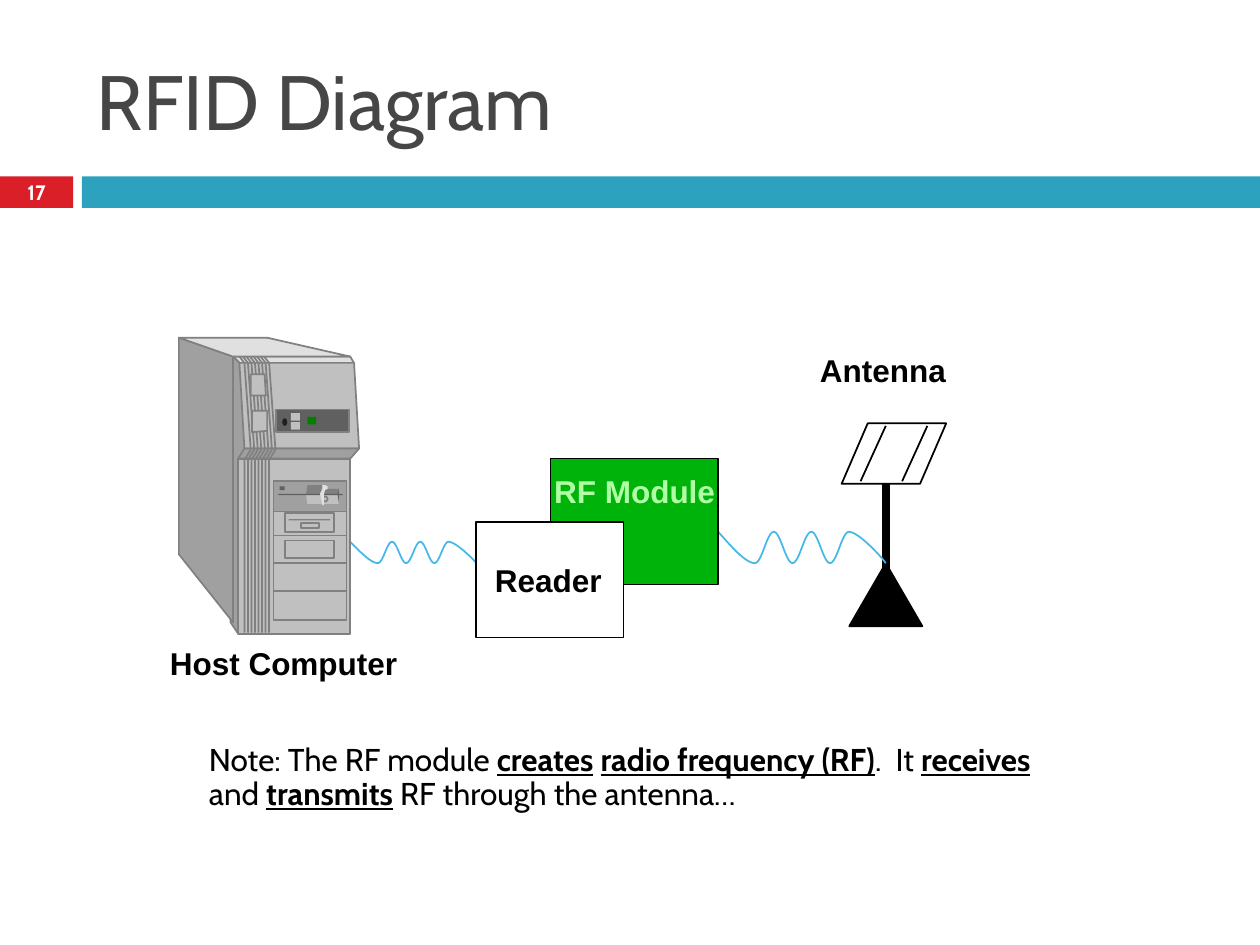
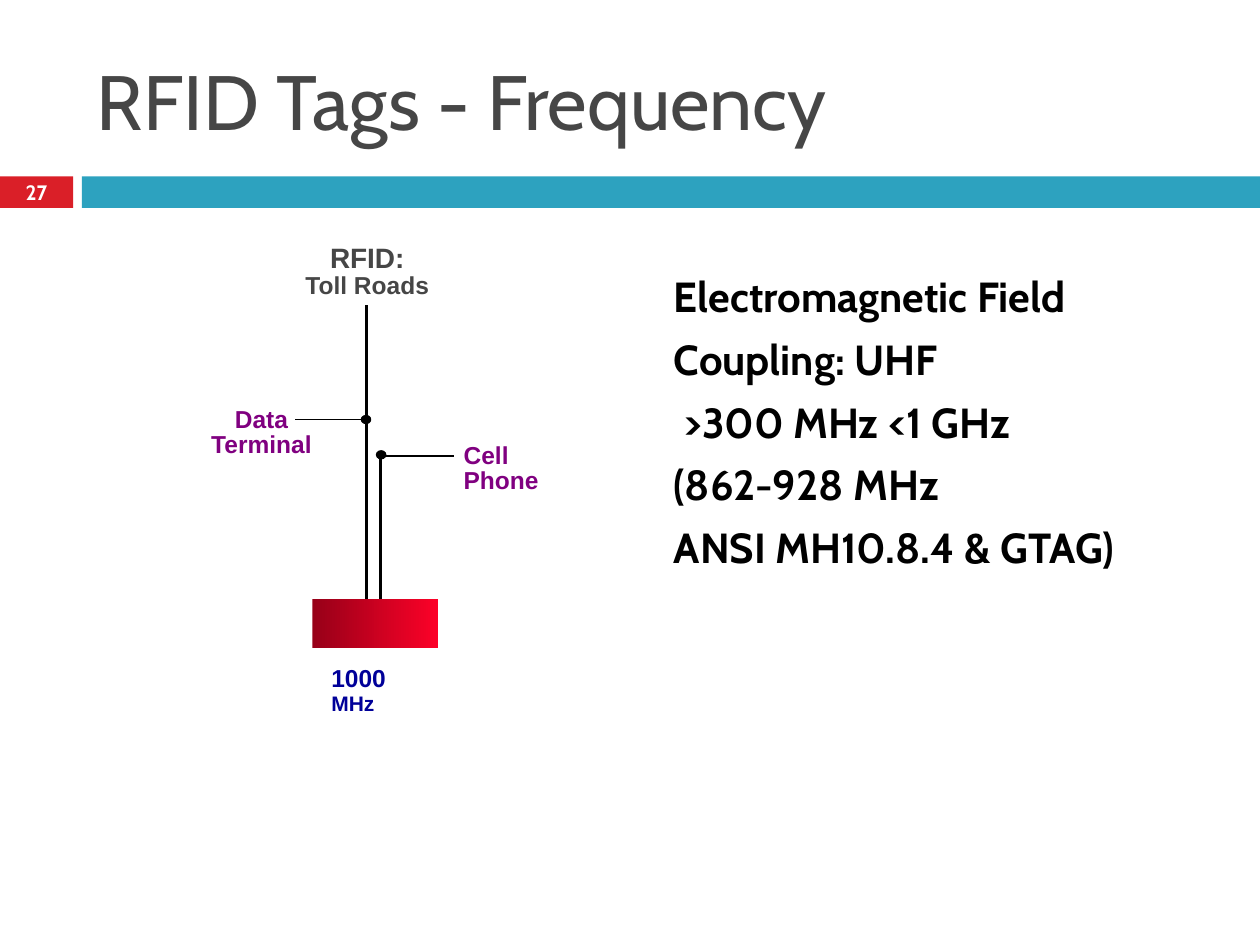
import pptx
import pptx.util
import pptx.dml.color
import pptx.enum.shapes
import pptx.enum.text
import lxml.etree

Cm, Pt = pptx.util.Cm, pptx.util.Pt
Kind = pptx.enum.shapes.MSO_SHAPE
Align = pptx.enum.text.PP_ALIGN
Anchor = pptx.enum.text.MSO_ANCHOR


class Theme:
    head, body = "Cabin", "Arial"
    ink, grey, white = "000000", "464646", "FFFFFF"
    red, teal, wave = "DA1F28", "2DA2BF", "44B9E8"
    green, lime = "00B30B", "B0FFA5"
    plum, navy = "800080", "000099"
    glow = ("970018", "FC0128")
    edge, face, side, top, dark = "808080", "C0C0C0", "A0A0A0", "E0E0E0", "606060"
    title, point, label, small, tiny, page = 44, 24, 18, 14, 12, 11.9


# ---------- content; places are in grid units of 2.54 cm ----------
UNIT = 2.54
TITLES = {17: "RFID Diagram", 27: "RFID Tags - Frequency"}

STRONG = dict(bold=True, under=True)
NOTE = [[("Note: The RF module ", {}), ("creates", STRONG), (" ", {}),
         ("radio frequency (RF)", STRONG), (".  It ", {}), ("receives", STRONG),
         (" and ", {}), ("transmits", STRONG), (" RF through the antenna…", {})]]

# label, place, colour, wrap
PARTS = [
    (" Reader", (3.76, 4.4, 1.18, 0.4), Theme.ink, True),
    ("RF Module", (4.3, 3.7, 1.48, 0.4), Theme.lime, False),
    ("Antenna", (6.41, 2.74, 1.2, 0.4), Theme.ink, False),
    ("Host Computer", (1.25, 5.06, 2.01, 0.4), Theme.ink, False),
]
WAVES = [(2.78, 4.3, 1, 0.17), (5.7, 4.22, 1.33, 0.25)]

POINTS = ["Electromagnetic Field", "Coupling: UHF", " >300 MHz <1 GHz",
          "(862-928 MHz", "ANSI MH10.8.4 & GTAG)"]

# lines, place, format
TAGS = [
    (["1000", [("MHz", dict(size=Theme.tiny))]], (2.56, 5.26, 0.97, 0.45),
     dict(color=Theme.navy, space=0.9)),
    (["Cell", "Phone"], (3.61, 3.5, 1.14, 0.45), dict(color=Theme.plum)),
    ([[("RFID:", dict(size=16))], "Toll Roads"], (2.35, 1.92, 1.13, 0.48),
     dict(color=Theme.grey, align=Align.CENTER, wrap=False)),
    (["Data", "Terminal"], (1.6, 3.21, 0.95, 0.45),
     dict(color=Theme.plum, align=Align.CENTER, wrap=False)),
]
# start, end, width
WIRES = [
    ((2.91, 4.81), (2.91, 2.42), 2), ((3.02, 4.78), (3.02, 3.62), 2),
    ((3.02, 3.62), (3.6, 3.62), 1), ((2.9, 3.33), (2.34, 3.33), 1),
]
DOTS = [(2.99, 3.58), (2.87, 3.3)]

# Case of the host: fill and corners
PANELS = [
    (Theme.top, [(1.85, 2.83), (1.9, 2.88), (2.81, 2.88), (2.78, 2.83)]),
    (Theme.side, [(1.83, 4.94), (1.89, 5.03), (2.08, 3.56), (1.9, 2.88),
                  (1.85, 2.83), (1.83, 3.62)]),
    (Theme.side, [(1.42, 2.68), (1.85, 2.83), (1.85, 4.94), (1.42, 4.4)]),
    (Theme.top, [(1.85, 2.83), (2.78, 2.83), (2.12, 2.68), (1.42, 2.68)]),
    (Theme.face, [(1.89, 3.64), (2.78, 3.64), (2.78, 5.03), (1.89, 5.03)]),
    (Theme.face, [(1.9, 2.88), (2.81, 2.88), (2.85, 3.56), (1.94, 3.56)]),
    (Theme.side, [(1.89, 3.64), (2.78, 3.64), (2.85, 3.56), (1.94, 3.56)]),
]
GROOVE = [(1.9, 2.83), (1.94, 2.88), (1.99, 3.57), (1.94, 3.65), (1.94, 5.02)]
KEYS = [
    [(2.1, 2.97), (1.99, 2.97), (1.99, 3.14), (2.11, 3.14)],
    [(2.12, 3.26), (2, 3.26), (2, 3.43), (2.12, 3.42)],
]
# Front of the host: place, fill, line
BOXES = [
    ((2.17, 3.82, 0.58, 1.1), Theme.face, Theme.edge),
    ((2.17, 4.04, 0.58, 0.22), Theme.face, Theme.edge),
    ((2.17, 4.25, 0.58, 0.24), Theme.face, Theme.edge),
    ((2.17, 4.47, 0.58, 0.22), Theme.face, Theme.edge),
    ((2.26, 4.07, 0.39, 0.15), Theme.face, Theme.edge),
    ((2.26, 4.29, 0.39, 0.14), Theme.face, Theme.edge),
    ((2.17, 3.82, 0.58, 0.24), Theme.side, Theme.edge),
    ((2.22, 3.86, 0.04, 0.03), Theme.dark, None),
    ((2.29, 4.12, 0.33, 0.01), Theme.edge, None),
    ((2.39, 4.15, 0.14, 0.04), None, Theme.edge),
    ((2.19, 3.25, 0.58, 0.18), Theme.dark, Theme.edge),
    ((2.31, 3.28, 0.07, 0.06), Theme.face, None),
    ((2.31, 3.35, 0.07, 0.06), Theme.face, None),
    ((2.44, 3.31, 0.07, 0.06), "008000", None),
]
# Disk in the slot: fill and corners
DISK = [
    (Theme.edge, [(2.56, 3.85), (2.44, 3.85), (2.43, 3.92), (2.54, 3.92)]),
    (Theme.face, [(2.69, 4), (2.44, 4), (2.43, 3.93), (2.68, 3.93)]),
    (Theme.edge, [(2.69, 3.88), (2.56, 3.88), (2.54, 3.92), (2.68, 3.92)]),
    (Theme.dark, [(2.69, 3.88), (2.69, 3.99), (2.68, 3.92)]),
]
LATCH = [(2.58, 3.85), (2.56, 3.85), (2.56, 3.88), (2.54, 3.92), (2.56, 4.01),
         (2.57, 4.01), (2.57, 3.93), (2.58, 3.89), (2.6, 3.88), (2.6, 3.86)]


# ---------- tools ----------
def size(*nums):
    return [Cm(num * UNIT) for num in nums]


def rgb(code):
    return pptx.dml.color.RGBColor.from_string(code)


def paint(item, fill=None, line=None, width=1):
    item.shadow.inherit = False
    if fill:
        item.fill.solid()
        item.fill.fore_color.rgb = rgb(fill)
    else:
        item.fill.background()
    if line:
        item.line.color.rgb = rgb(line)
        item.line.width = Pt(width)
    else:
        item.line.fill.background()
    return item


def shape(slide, at, fill=None, line=None, kind=Kind.RECTANGLE):
    return paint(slide.shapes.add_shape(kind, *size(*at)), fill, line)


def trace(slide, spots, fill=None, line=None, close=True):
    first, *rest = [size(*spot) for spot in spots]
    pen = slide.shapes.build_freeform(*first)
    pen.add_line_segments(rest, close=close)
    return paint(pen.convert_to_shape(), fill, line)


def wire(slide, start, end, width=1):
    line = slide.shapes.add_connector(
        pptx.enum.shapes.MSO_CONNECTOR.STRAIGHT, *size(*start, *end))
    line.line.color.rgb = rgb(Theme.ink)
    line.line.width = Pt(width)
    lxml.etree.SubElement(line._element.spPr, pptx.oxml.ns.qn("a:effectLst"))


def text(slide, lines, at, *, font=Theme.body, size_pt=Theme.label, color=Theme.ink,
         bold=False, align=Align.LEFT, anchor=Anchor.TOP, wrap=True,
         inset=(0.1, 0.05), space=None, before=0):
    """Add text; a line is a string or a list of (words, format) runs."""
    frame = slide.shapes.add_textbox(*size(*at)).text_frame
    frame.word_wrap = wrap
    frame.vertical_anchor = anchor
    frame.margin_left, frame.margin_top = size(*inset)
    frame.margin_right, frame.margin_bottom = size(*inset)
    for num, line in enumerate(lines):
        para = frame.add_paragraph() if num else frame.paragraphs[0]
        para.alignment = align
        para.space_before = Pt(before)
        if space:
            para.line_spacing = space
        for words, form in [(line, {})] if isinstance(line, str) else line:
            run = para.add_run()
            run.text = words
            run.font.name = font
            run.font.size = Pt(form.get("size", size_pt))
            run.font.bold = form.get("bold", bold)
            run.font.underline = form.get("under", False)
            run.font.color.rgb = rgb(color)


def wave(slide, left, top, width, height):
    """Seven eased spans between crest and trough; the outer two are longer."""
    spans = [0.22] + [0.112] * 5 + [0.22]
    grips = [(0.36, 0, 0.64, 1)] * 7
    grips[0], grips[-1] = (0.38, 0.5, 0.75, 1), (0.27, 0, 0.95, 0.88)
    spots, x = [(left, top)], left
    for num, (span, (ax, ay, bx, by)) in enumerate(zip(spans, grips)):
        for step in range(1, 13):
            t = step / 12
            a, b, c = 3 * t * (1 - t) ** 2, 3 * t * t * (1 - t), t ** 3
            drop = a * ay + b * by + c
            spots.append((x + (a * ax + b * bx + c) * span * width,
                          top + height * (1 - drop if num % 2 else drop)))
        x += span * width
    trace(slide, spots, line=Theme.wave, close=False)


# ---------- slides ----------
def begin(deck, page):
    """Add a slide with bands, title and page number."""
    slide = deck.slides.add_slide(deck.slide_layouts[6])
    shape(slide, (0, 1.4, 0.58, 0.25), Theme.red)
    shape(slide, (0.65, 1.4, 9.35, 0.25), Theme.teal)
    text(slide, [TITLES[page]], (0.67, 0.25, 8.92, 1.08), font=Theme.head,
         size_pt=Theme.title, color=Theme.grey, anchor=Anchor.MIDDLE)
    text(slide, [str(page)], (0, 1.39, 0.58, 0.27), font=Theme.head, bold=True,
         size_pt=Theme.page, color=Theme.white, align=Align.CENTER,
         anchor=Anchor.MIDDLE)
    return slide


def host(slide):
    for fill, spots in PANELS:
        trace(slide, spots, fill, Theme.edge)
    for num in range(8):
        trace(slide, [(x + num * 0.028, y) for x, y in GROOVE],
              line=Theme.edge, close=False)
    for spots in KEYS:
        trace(slide, spots, Theme.face, Theme.edge)
    for at, fill, line in BOXES:
        shape(slide, at, fill, line)
    shape(slide, (2.24, 3.32, 0.04, 0.06), "202020", kind=Kind.OVAL)
    for fill, spots in DISK:
        trace(slide, spots, fill)
    shape(slide, (2.56, 3.94, 0.04, 0.04), Theme.face, Theme.edge, Kind.OVAL)
    shape(slide, (2.21, 3.92, 0.51, 0.01), Theme.dark)
    trace(slide, LATCH, Theme.top)


def diagram(deck):
    slide = begin(deck, 17)
    # Mast, waves, module and reader
    wire(slide, (7.03, 3.69), (7.03, 4.69), 4.5)
    shape(slide, (6.74, 4.47, 0.58, 0.5), Theme.ink, Theme.ink,
          Kind.ISOSCELES_TRIANGLE)
    for place in WAVES:
        wave(slide, *place)
    shape(slide, (4.37, 3.64, 1.33, 1), Theme.green, Theme.ink)
    shape(slide, (3.78, 4.14, 1.17, 0.92), Theme.white, Theme.ink)
    # Dish
    dish = shape(slide, (6.68, 3.36, 0.83, 0.48), Theme.white, Theme.ink,
                 Kind.PARALLELOGRAM)
    dish.adjustments[0] = 0.432
    for x in (7.36, 7.03):
        wire(slide, (x, 3.38), (x - 0.2, 3.82))
    host(slide)
    for words, at, color, wrap in PARTS:
        text(slide, [words], at, color=color, bold=True, wrap=wrap)
    text(slide, NOTE, (1.56, 5.86, 6.72, 0.65), font=Theme.head, space=0.9)


def bands(deck):
    slide = begin(deck, 27)
    text(slide, POINTS, (5.25, 2.1, 4.46, 3.38), font=Theme.head,
         size_pt=Theme.point, bold=True, before=7)
    for start, end, width in WIRES:
        wire(slide, start, end, width)
    for spot in DOTS:
        shape(slide, (*spot, 0.07, 0.06), Theme.ink, Theme.ink, Kind.OVAL)
    for lines, at, form in TAGS:
        text(slide, lines, at, **{"size_pt": Theme.small, "bold": True,
                                  "inset": (0.07, 0.03), "space": 0.85, **form})
    # Block for the frequency band
    block = shape(slide, (2.48, 4.75, 1, 0.39), Theme.red)
    block.fill.gradient()
    block.fill.gradient_angle = 0
    for stop, color in zip(block.fill.gradient_stops, Theme.glow):
        stop.color.rgb = rgb(color)


def main():
    deck = pptx.Presentation()
    deck.slide_width, deck.slide_height = size(10, 7.5)
    diagram(deck)
    bands(deck)
    deck.save("out.pptx")


if __name__ == "__main__":
    main()
